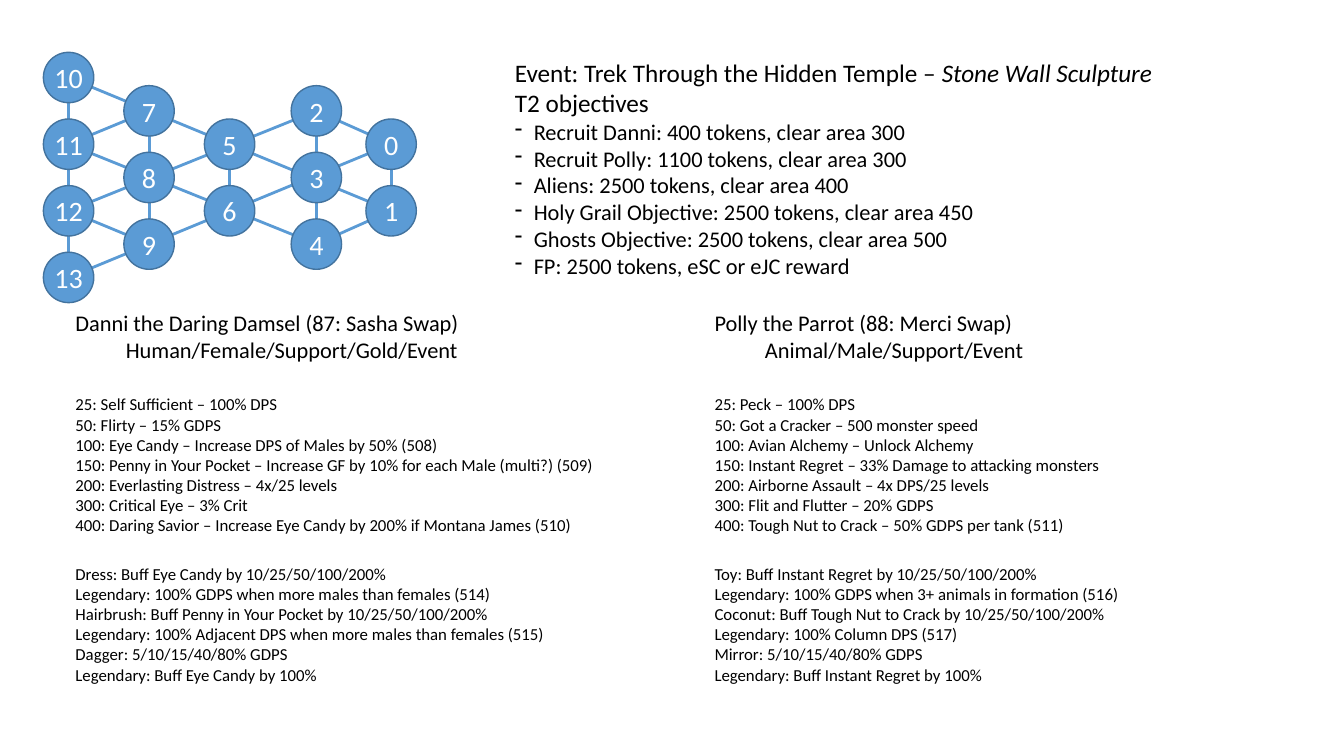
import pptx
import pptx.dml.color
import pptx.enum.shapes
import pptx.enum.text
import pptx.util
from lxml import etree

Pt = pptx.util.Pt

EVENT = "Event: Trek Through the Hidden Temple – "
EVENT_NAME = "Stone Wall Sculpture"
TIER = "T2 objectives"
OBJECTIVES = [
    "Recruit Danni: 400 tokens, clear area 300",
    "Recruit Polly: 1100 tokens, clear area 300",
    "Aliens: 2500 tokens, clear area 400",
    "Holy Grail Objective: 2500 tokens, clear area 450",
    "Ghosts Objective: 2500 tokens, clear area 500",
    "FP: 2500 tokens, eSC or eJC reward",
]
DANNI = {
    "title": ["Danni the Daring Damsel (87: Sasha Swap)", "\tHuman/Female/Support/Gold/Event"],
    "skills": [
        "25: Self Sufficient – 100% DPS",
        "50: Flirty – 15% GDPS",
        "100: Eye Candy – Increase DPS of Males by 50% (508)",
        "150: Penny in Your Pocket – Increase GF by 10% for each Male (multi?) (509)",
        "200: Everlasting Distress – 4x/25 levels",
        "300: Critical Eye – 3% Crit",
        "400: Daring Savior – Increase Eye Candy by 200% if Montana James (510)",
    ],
    "gear": [
        "Dress: Buff Eye Candy by 10/25/50/100/200%",
        "Legendary: 100% GDPS when more males than females (514)",
        "Hairbrush: Buff Penny in Your Pocket by 10/25/50/100/200%",
        "Legendary: 100% Adjacent DPS when more males than females (515)",
        "Dagger: 5/10/15/40/80% GDPS",
        "Legendary: Buff Eye Candy by 100%",
    ],
}
POLLY = {
    "title": ["Polly the Parrot (88: Merci Swap)", "\tAnimal/Male/Support/Event"],
    "skills": [
        "25: Peck – 100% DPS",
        "50: Got a Cracker – 500 monster speed",
        "100: Avian Alchemy – Unlock Alchemy",
        "150: Instant Regret – 33% Damage to attacking monsters",
        "200: Airborne Assault – 4x DPS/25 levels",
        "300: Flit and Flutter – 20% GDPS",
        "400: Tough Nut to Crack – 50% GDPS per tank (511)",
    ],
    "gear": [
        "Toy: Buff Instant Regret by 10/25/50/100/200%",
        "Legendary: 100% GDPS when 3+ animals in formation (516)",
        "Coconut: Buff Tough Nut to Crack by 10/25/50/100/200%",
        "Legendary: 100% Column DPS (517)",
        "Mirror: 5/10/15/40/80% GDPS",
        "Legendary: Buff Instant Regret by 100%",
    ],
}
# Formation columns: centre x, first row, number of slots (every second row)
COLUMNS = [(279.4, 2, 2), (226, 1, 3), (164, 2, 2), (106.5, 1, 3), (49, 0, 4)]
LINKS = [(1, 10), (0, 2), (9, 12), (4, 11), (0, 13), (2, 12), (7, 11), (1, 4),
         (13, 10), (9, 7), (6, 5), (2, 4), (0, 1)]
ROW_TOP, ROW_STEP, SLOT = 55.4, 23.8, 36
HERO_LEFT = [(DANNI, 46.8), (POLLY, 503.3)]
BLOCKS = [("title", 217.4, 46, 16), ("skills", 278, 108.7, 12), ("gear", 399, 94.3, 12)]
BLUE, EDGE, BLACK, WHITE = "5B9BD5", "43739E", "000000", "FFFFFF"


def rgb(color):
    return pptx.dml.color.RGBColor.from_string(color)


def add_run(p, text, size, color=BLACK, italic=None):
    r = p.add_run()
    r.text = text
    r.font.name, r.font.size, r.font.italic = "Calibri", Pt(size), italic
    r.font.color.rgb = rgb(color)


def add_text(s, left, top, width, height, paragraphs):
    """Each paragraph is a list of (text, size, italic, bulleted) runs."""
    tf = s.shapes.add_textbox(Pt(left), Pt(top), Pt(width), Pt(height)).text_frame
    tf.word_wrap = True
    tf.auto_size = pptx.enum.text.MSO_AUTO_SIZE.SHAPE_TO_FIT_TEXT
    for i, runs in enumerate(paragraphs):
        p = tf.add_paragraph() if i else tf.paragraphs[0]
        for text, size, italic, bulleted in runs:
            add_run(p, text, size, italic=italic)
            if bulleted:
                pPr = p._p.get_or_add_pPr()
                pPr.set("marL", str(Pt(13.5)))
                pPr.set("indent", str(-Pt(13.5)))
                etree.SubElement(pPr, pptx.oxml.ns.qn("a:buChar")).set("char", "-")


def add_link(s, start, end):
    line = s.shapes.add_connector(pptx.enum.shapes.MSO_CONNECTOR.STRAIGHT,
                                  *[Pt(v) for v in start + end])
    line.line.color.rgb = rgb(BLUE)
    line.line.width = Pt(2)
    etree.SubElement(line._element.spPr, pptx.oxml.ns.qn("a:effectLst"))


def add_slot(s, number, center):
    x, y = center
    sp = s.shapes.add_shape(pptx.enum.shapes.MSO_SHAPE.OVAL, Pt(x - SLOT / 2),
                            Pt(y - SLOT / 2), Pt(SLOT), Pt(SLOT))
    sp.shadow.inherit = False
    sp.fill.solid()
    sp.fill.fore_color.rgb = rgb(BLUE)
    sp.line.color.rgb = rgb(EDGE)
    sp.line.width = Pt(1)
    tf = sp.text_frame
    tf.margin_left = tf.margin_right = tf.margin_top = tf.margin_bottom = 0
    tf.word_wrap = False
    tf.vertical_anchor = pptx.enum.text.MSO_ANCHOR.MIDDLE
    p = tf.paragraphs[0]
    p.alignment = pptx.enum.text.PP_ALIGN.CENTER
    add_run(p, str(number), 20, WHITE)


def main():
    prs = pptx.Presentation()
    prs.slide_width, prs.slide_height = Pt(960), Pt(540)
    s = prs.slides.add_slide(prs.slide_layouts[6])

    event = [[(EVENT, 18, None, False), (EVENT_NAME, 18, True, False)],
             [(TIER, 18, None, False)]]
    event += [[(text, 16, None, True)] for text in OBJECTIVES]
    add_text(s, 360.7, 37.4, 563.8, 167, event)

    for hero, left in HERO_LEFT:
        for part, top, height, size in BLOCKS:
            add_text(s, left, top, 409.7, height,
                     [[(text, size, None, False)] for text in hero[part]])

    centers = [(x, ROW_TOP + ROW_STEP * (first + 2 * i))
               for x, first, count in COLUMNS for i in range(count)]
    for a, b in LINKS:
        add_link(s, centers[a], centers[b])
    for number, center in enumerate(centers):
        add_slot(s, number, center)

    prs.save("out.pptx")


if __name__ == "__main__":
    main()
